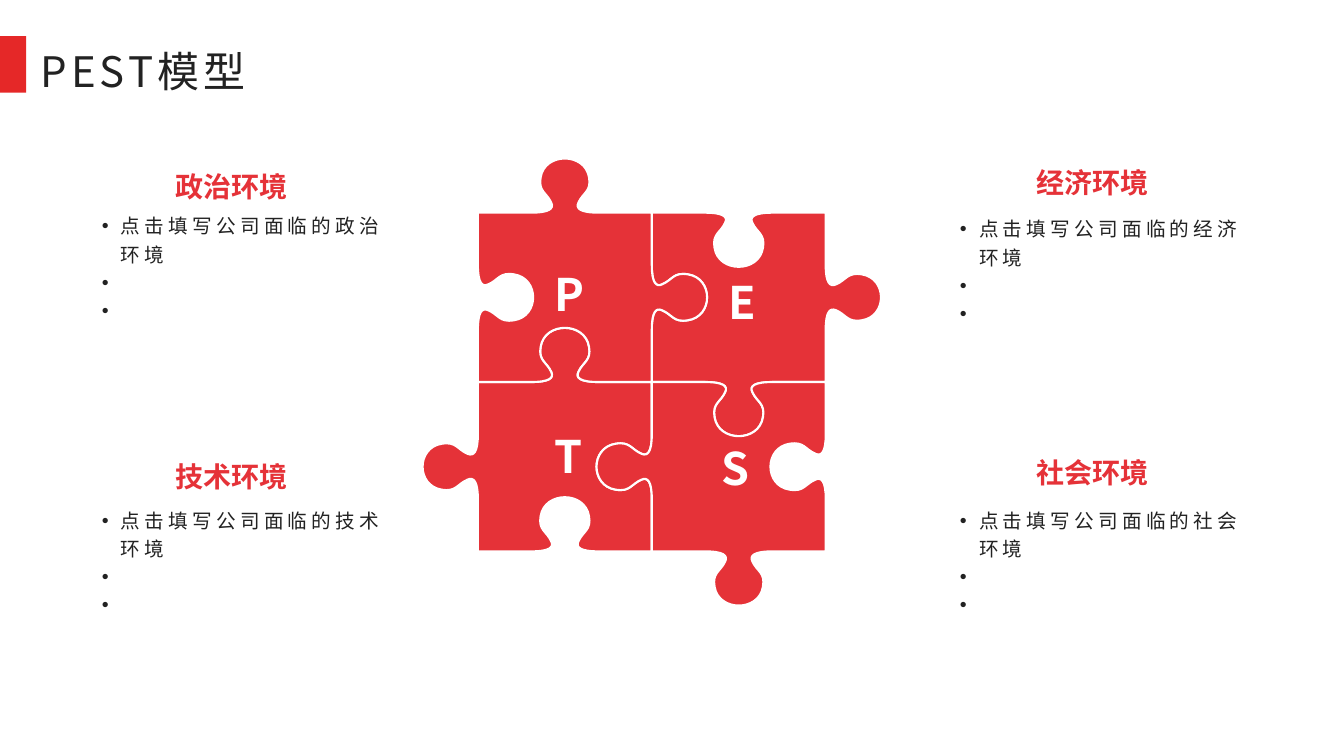
from lxml import etree
from pptx import Presentation
from pptx import util as u
from pptx.dml.color import RGBColor
from pptx.enum import shapes, text
from pptx.oxml import ns

RED = RGBColor(0xE5, 0x32, 0x38)
ACCENT = RGBColor(0xE5, 0x28, 0x28)
INK = RGBColor(0x22, 0x22, 0x22)
WHITE = RGBColor(0xFF, 0xFF, 0xFF)
FONT = "Noto Sans CJK SC"


def place(box, *lengths):
    for name, length in zip(("left", "top", "width", "height"), lengths):
        setattr(box, name, u.Inches(length))


def write(box, lines, color, font, para_format={}, frame_format={}, tracking=0):
    frame = box.text_frame
    frame.text = "\n".join(lines)
    frame_values = {"word_wrap": True, "vertical_anchor": text.MSO_ANCHOR.TOP,
                    "auto_size": text.MSO_AUTO_SIZE.SHAPE_TO_FIT_TEXT}
    for name, value in {**frame_values, **frame_format}.items():
        setattr(frame, name, value)
    para_values = {"alignment": text.PP_ALIGN.LEFT, "space_before": u.Pt(0)}
    for para in frame.paragraphs:
        for name, value in {**para_values, **para_format}.items():
            setattr(para, name, value)
        span = para.runs[0]
        for name, value in {"name": FONT, "bold": False, **font}.items():
            setattr(span.font, name, value)
        span.font.color.rgb = color
        properties = span._r.get_or_add_rPr()
        etree.SubElement(properties, ns.qn("a:ea"), typeface=FONT)
        if tracking:
            properties.set("spc", str(tracking * 100))


deck = Presentation()
deck.slide_width, deck.slide_height = u.Inches(13.33), u.Inches(7.5)
page = deck.slides.add_slide(deck.slide_layouts.get_by_name("Comparison"))
title, *lists = page.placeholders

marker = page.shapes.add_shape(
    shapes.MSO_SHAPE.RECTANGLE, 0, u.Inches(0.36), u.Inches(0.26), u.Inches(0.56))
marker.shadow.inherit = False
marker.fill.solid()
marker.fill.fore_color.rgb = ACCENT
marker.line.fill.background()

margins = ("margin_left", "margin_top", "margin_right", "margin_bottom")
place(title, 0.35, 0.3, 3.52, 0.67)
write(title, ["PEST模型"], INK, {"size": u.Pt(30)}, {"line_spacing": 1.2},
      dict.fromkeys(margins, u.Inches(0.05)), tracking=3)

PUZZLE_LEFT, PUZZLE_TOP = 4.74, 2.11
PIECE_WIDTH, PIECE_HEIGHT = 1.725, 1.68
HALF_KNOB = [(-0.335, 0), (-0.155, 0), (-0.105, 0.04), (-0.135, 0.1),
             (-0.18, 0.2), (-0.265, 0.21), (-0.24, 0.35), (-0.2, 0.6)]
KNOB = HALF_KNOB + [(-along, out) for along, out in reversed(HALF_KNOB)]
SIDES = [(1, 0), (0, 1), (-1, 0), (0, -1)]
PIECES = [
    ("T", 0, 1, (1, -1, -1, 1), (5.5, 4.25, 0.25)),
    ("E", 1, 0, (-1, 1, 1, -1), (7.23, 2.72, 0.23)),
    ("P", 0, 0, (1, 1, -1, -1), (5.5, 2.64, 0.26)),
    ("S", 1, 1, (-1, -1, 1, 1), (7.16, 4.37, 0.24)),
]

puzzle = page.shapes.add_group_shape()
for letter, column, row, knobs, spot in PIECES:
    center_x = PUZZLE_LEFT + (column + 0.5) * PIECE_WIDTH
    center_y = PUZZLE_TOP + (row + 0.5) * PIECE_HEIGHT
    points = []
    for (dx, dy), knob in zip(SIDES, knobs):
        half, reach = PIECE_WIDTH / 2, PIECE_HEIGHT / 2
        along_scale, out_scale = 1, 1
        if dy:
            half, reach = reach, half
            along_scale, out_scale = 0.95, 1.02
        profile = [(along * along_scale, out * out_scale * knob) for along, out in KNOB]
        profile = [profile[0]] * 2 + profile + [(half, 0)] * 3
        for along, out in profile:
            points.append((u.Inches(center_x + dx * along + dy * (reach + out)),
                           u.Inches(center_y + dy * along - dx * (reach + out))))
    corner = (u.Inches(center_x - PIECE_WIDTH / 2), u.Inches(center_y - PIECE_HEIGHT / 2))
    builder = puzzle.shapes.build_freeform(*corner)
    builder.add_line_segments(points, close=True)
    piece = builder.convert_to_shape()
    piece.shadow.inherit = False
    piece.fill.solid()
    piece.fill.fore_color.rgb = RED
    piece.line.color.rgb = WHITE
    piece.line.width = u.Pt(1.5)

    segments = list(piece._element.iter(ns.qn("a:lnTo")))
    for start in range(0, len(segments), 3):
        curve = etree.Element(ns.qn("a:cubicBezTo"))
        segments[start].addprevious(curve)
        for segment in segments[start:start + 3]:
            curve.append(segment[0])
            segment.getparent().remove(segment)

for letter, column, row, knobs, spot in PIECES:
    label = puzzle.shapes.add_textbox(*map(u.Inches, (*spot, 0.54)))
    write(label, [letter], WHITE, {"size": u.Pt(32), "bold": True},
          {"alignment": text.PP_ALIGN.CENTER},
          {"word_wrap": False, "vertical_anchor": text.MSO_ANCHOR.BOTTOM,
           **dict.fromkeys(margins, 0)})

TOPICS = [
    ("政治", 1.64, 1.63, 0.91, 2.03),
    ("技术", 1.64, 4.51, 0.91, 4.95),
    ("经济", 10.18, 1.59, 9.42, 2.06),
    ("社会", 10.18, 4.47, 9.42, 4.95),
]
for body, (topic, heading_left, heading_top, left, top) in zip(lists, TOPICS):
    heading = page.shapes.add_textbox(
        *map(u.Inches, (heading_left, heading_top, 1.32, 0.44)))
    write(heading, [f"{topic}环境"], RED, {"size": u.Pt(20), "bold": True},
          frame_format={"word_wrap": False})
    place(body, left, top, 3.1, 1.21)
    write(body, [f"点击填写公司面临的{topic}环境", " ", " "], INK,
          {"size": u.Pt(14)}, {"line_spacing": 1.2}, tracking=3)
    for para in body.text_frame.paragraphs:
        properties = para._p.get_or_add_pPr()
        properties.set("marL", str(u.Inches(0.19)))
        properties.set("indent", str(-u.Inches(0.19)))
        etree.SubElement(properties, ns.qn("a:buFont"), typeface="Arial")
        etree.SubElement(properties, ns.qn("a:buChar"), char="•")

deck.save("out.pptx")
